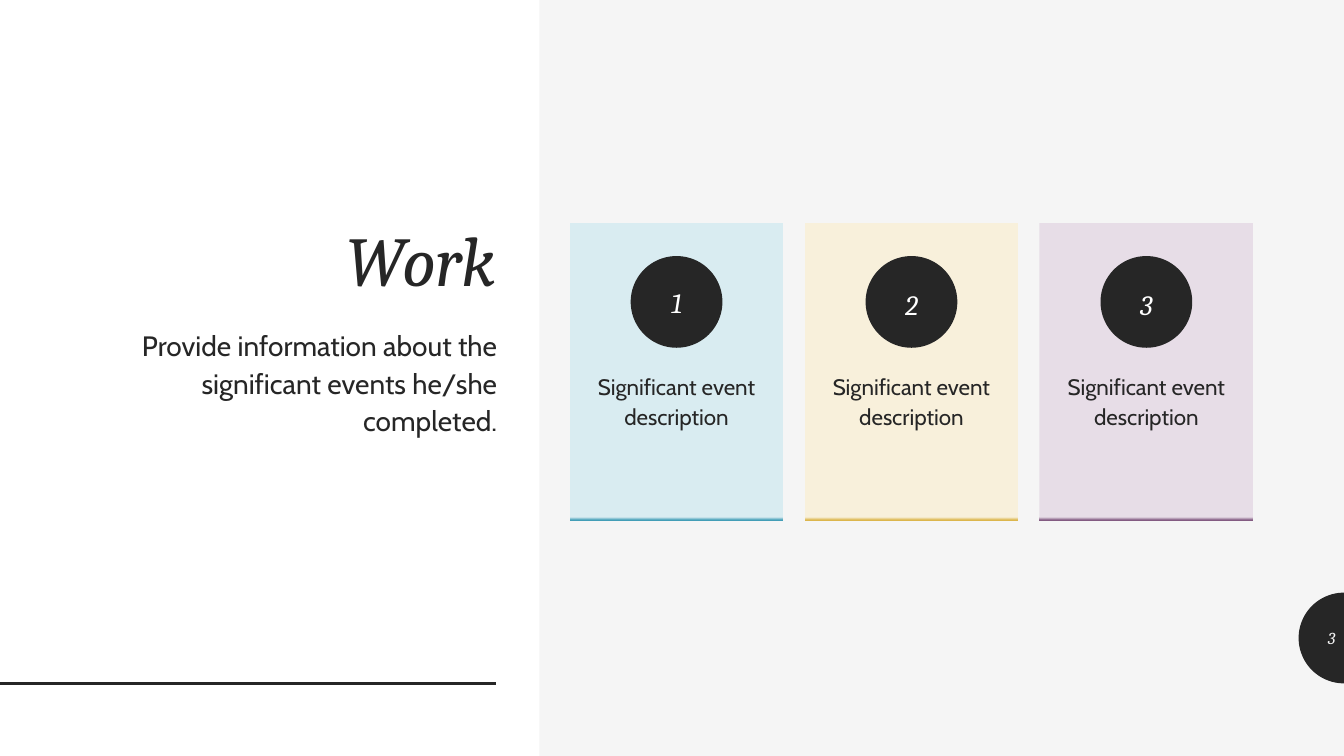
from copy import deepcopy
from dataclasses import dataclass
from math import cos, pi, sin

from lxml.etree import SubElement
from pptx import Presentation
from pptx.dml.color import RGBColor
from pptx.enum.shapes import MSO_CONNECTOR, MSO_SHAPE as SHAPE
from pptx.enum.text import MSO_ANCHOR as ANCHOR, PP_ALIGN as ALIGN
from pptx.oxml.ns import qn
from pptx.util import Inches, Pt

DARK, PALE, WHITE = "262626", "F5F5F5", "FFFFFF"
SERIF, SANS = "Cambria", "Cabin"


@dataclass
class Style:
    size: int
    font: str
    color: str = DARK
    italic: bool = False
    align: ALIGN = ALIGN.CENTER
    spacing: float = 1.0
    before: int = 0


@dataclass
class Card:
    number: str
    tint: str
    edge: str
    number_spacing: float = 1.12


def rgb(color: str) -> RGBColor:
    return RGBColor.from_string(color)


def write(sp, text: str, style: Style, anchor=ANCHOR.TOP, top=0.05, side=0.1, bottom=0.05) -> None:
    tf = sp.text_frame
    tf.word_wrap = True
    tf.vertical_anchor = anchor
    tf.margin_left = tf.margin_right = Inches(side)
    tf.margin_top, tf.margin_bottom = Inches(top), Inches(bottom)
    tf.text = text
    p = tf.paragraphs[0]
    p.alignment = style.align
    p.line_spacing = style.spacing
    p.space_before = Pt(style.before)
    p.font.size, p.font.name = Pt(style.size), style.font
    p.font.italic = style.italic
    p.font.color.rgb = rgb(style.color)


def finish(sp, color: str) -> None:
    sp.shadow.inherit = False
    sp.line.fill.background()
    sp.fill.solid()
    sp.fill.fore_color.rgb = rgb(color)


def add_shape(kind: SHAPE, x: float, y: float, w: float, h: float, color: str):
    sp = s.shapes.add_shape(kind, Inches(x), Inches(y), Inches(w), Inches(h))
    finish(sp, color)
    return sp


def add_text(x: float, y: float, w: float, h: float, text: str, style: Style, anchor=ANCHOR.TOP) -> None:
    sp = s.shapes.add_textbox(Inches(x), Inches(y), Inches(w), Inches(h))
    write(sp, text, style, anchor)


def fill_with_edge(sp, tint: str, edge: str) -> None:
    sp.fill.gradient()
    sp.fill.gradient_angle = 270
    stop_list = sp.element.spPr.find(".//" + qn("a:gsLst"))
    stop_list.append(deepcopy(stop_list[-1]))
    for stop, position, color in zip(sp.fill.gradient_stops, (0, 0.99, 1), (tint, tint, edge)):
        stop.position = position
        stop.color.rgb = rgb(color)


def add_card(card: Card, x: float) -> None:
    sp = add_shape(SHAPE.RECTANGLE, x, CARD_TOP, CARD_W, CARD_H, card.tint)
    fill_with_edge(sp, card.tint, card.edge)
    write(sp, "Significant event description", Style(16, SANS, spacing=1.12, before=9),
          top=1.46, side=0, bottom=0)
    badge = add_shape(SHAPE.OVAL, x + (CARD_W - BADGE) / 2, CARD_TOP + 0.33, BADGE, BADGE, DARK)
    write(badge, card.number, Style(20, SERIF, WHITE, True, spacing=card.number_spacing, before=9),
          ANCHOR.MIDDLE, top=0, side=0, bottom=0)


def add_half_disc(cx: float, cy: float, radius: float, steps: int = 48) -> None:
    angles = [pi / 2 + pi * i / steps for i in range(steps + 1)]
    points = [(Inches(cx + radius * cos(a)), Inches(cy + radius * sin(a))) for a in angles]
    builder = s.shapes.build_freeform(*points[0])
    builder.add_line_segments(points[1:], close=True)
    finish(builder.convert_to_shape(), DARK)


def add_rule(x1: float, x2: float, y: float) -> None:
    line = s.shapes.add_connector(MSO_CONNECTOR.STRAIGHT, Inches(x1), Inches(y), Inches(x2), Inches(y))
    line.line.width = Pt(2)
    line.line.color.rgb = rgb(DARK)
    SubElement(line.element.spPr, qn("a:effectLst"))


CARD_TOP, CARD_W, CARD_H, CARD_PITCH, BADGE = 2.21, 2.12, 2.95, 2.33, 0.91
CARDS = [
    Card("1", "D9ECF1", "439EB7", 1.0),
    Card("2", "F8F0DB", "DCB64D"),
    Card("3", "E7DDE7", "835B82"),
]

prs = Presentation()
prs.slide_width, prs.slide_height = Inches(13.33), Inches(7.5)
s = prs.slides.add_slide(prs.slide_layouts[5])
s.background.fill.solid()
s.background.fill.fore_color.rgb = rgb(PALE)

add_half_disc(13.33, 6.33, 0.45)
panel = add_shape(SHAPE.RECTANGLE, 0, 0, 5.35, 7.5, WHITE)
add_rule(0, 4.92, 6.78)

title = s.shapes.title
title.left, title.top, title.width, title.height = map(Inches, (0.83, 0.61, 4.19, 2.43))
write(title, "Work", Style(50, SERIF, italic=True, align=ALIGN.RIGHT, spacing=0.9), ANCHOR.BOTTOM)
s.shapes.element.append(title.element)

for i, card in enumerate(CARDS):
    add_card(card, 5.65 + i * CARD_PITCH)

add_text(0.83, 3.17, 4.2, 3.12, "Provide information about the significant events he/she completed.",
         Style(20, SANS, align=ALIGN.RIGHT, spacing=1.12, before=9))
add_text(12.89, 6.13, 0.45, 0.4, "3", Style(12, SERIF, PALE, True, ALIGN.RIGHT), ANCHOR.MIDDLE)

prs.save("out.pptx")
